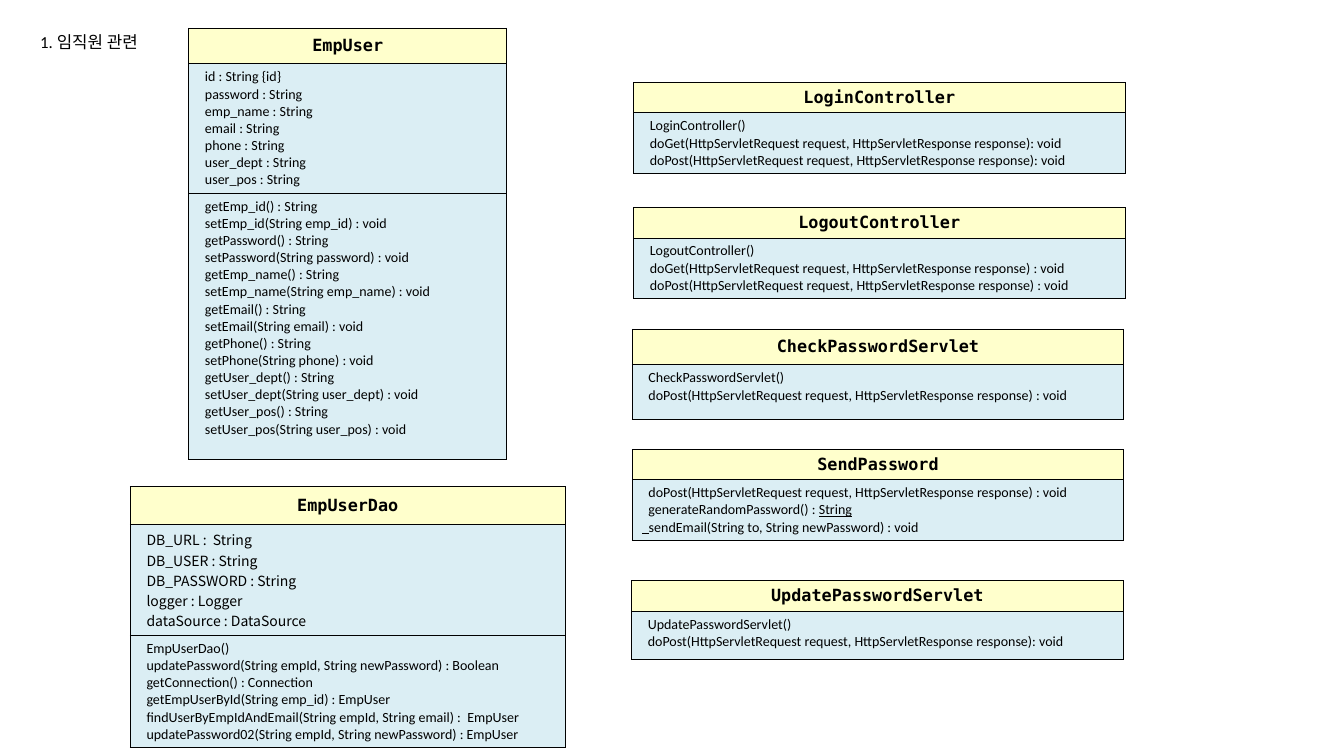
"""Builds the employee class diagram slide."""
from dataclasses import dataclass
from typing import NamedTuple

from lxml import etree
from pptx import Presentation
from pptx import util as u
from pptx.dml import color
from pptx.enum import text
from pptx.oxml import ns

COLORS = {"ink": "000000", "header": "FFFFCC", "body": "DBEEF4"}
BODY_FONT, TITLE_FONT, KOREAN_FONT = "Calibri", "DejaVu Sans Mono", "Noto Sans CJK KR"
LINE_INDENT = u.Inches(0.09)
SERVLET_WIDTH = 7.31


class Piece(NamedTuple):
    words: str
    underline: bool = False


class Line(NamedTuple):
    pieces: tuple[Piece, ...]
    indent: int = LINE_INDENT


class Section(NamedTuple):
    height: float
    lines: list[Line]
    font: str = BODY_FONT


@dataclass
class ClassBox:
    name: str
    left: float
    top: float
    width: float
    header_height: float
    sections: list[Section]


def plain(*members: str) -> list[Line]:
    """Turn member texts into lines of one ordinary piece each."""
    return [Line((Piece(member),)) for member in members]


def handler(method: str, ending: str = " : void") -> str:
    """Return the signature of a servlet request handler."""
    return f"{method}(HttpServletRequest request, HttpServletResponse response){ending}"


def accessors(fields: list[str]) -> list[str]:
    """Return a getter and a setter signature for each field."""
    return [
        signature
        for field in fields
        for signature in (
            f"get{field.capitalize()}() : String",
            f"set{field.capitalize()}(String {field}) : void",
        )
    ]


def add_piece(paragraph, piece: Piece, font: str, size: float, bold: bool = False) -> None:
    """Add one styled run to a paragraph."""
    run = paragraph.add_run()
    run.text = piece.words
    run.font.name = font
    run.font.size = u.Pt(size)
    run.font.bold = bold
    run.font.underline = piece.underline
    run.font.color.rgb = color.RGBColor.from_string(COLORS["ink"])
    properties = run._r.get_or_add_rPr()
    etree.SubElement(properties, ns.qn("a:ea"), typeface=KOREAN_FONT)


def style_cell(cell, fill: str) -> None:
    """Give a cell its margins, black borders and fill."""
    cell.margin_left = cell.margin_right = u.Inches(0.15)
    cell.margin_top = cell.margin_bottom = u.Inches(0.07)
    properties = cell._tc.get_or_add_tcPr()
    for side in ("lnL", "lnR", "lnT", "lnB"):
        border = etree.SubElement(properties, ns.qn(f"a:{side}"), w=str(u.Pt(1)))
        solid = etree.SubElement(border, ns.qn("a:solidFill"))
        etree.SubElement(solid, ns.qn("a:srgbClr"), val=COLORS["ink"])
    cell.fill.solid()
    cell.fill.fore_color.rgb = color.RGBColor.from_string(COLORS[fill])


def fill_section(cell, section: Section) -> None:
    """Write the member lines of one section into its cell."""
    style_cell(cell, "body")
    frame = cell.text_frame
    for index, line in enumerate(section.lines):
        paragraph = frame.add_paragraph() if index else frame.paragraphs[0]
        paragraph._p.get_or_add_pPr().set("marL", str(line.indent))
        for piece in line.pieces:
            add_piece(paragraph, piece, section.font, 15)


def draw_class(slide, box: ClassBox) -> None:
    """Draw a class as a one-column table."""
    heights = [box.header_height, *(section.height for section in box.sections)]
    table = slide.shapes.add_table(
        len(heights), 1, u.Inches(box.left), u.Inches(box.top),
        u.Inches(box.width), u.Inches(sum(heights)),
    ).table
    table.first_row = table.horz_banding = False
    for row, height in zip(table.rows, heights):
        row.height = u.Inches(height)
    header = table.cell(0, 0)
    style_cell(header, "header")
    header.vertical_anchor = text.MSO_ANCHOR.MIDDLE
    title = header.text_frame.paragraphs[0]
    title.alignment = text.PP_ALIGN.CENTER
    add_piece(title, Piece(box.name), TITLE_FONT, 18, bold=True)
    for row_number, section in enumerate(box.sections, start=1):
        fill_section(table.cell(row_number, 0), section)


def draw_heading(slide, words: str) -> None:
    """Draw the slide heading."""
    frame = slide.shapes.add_textbox(
        u.Inches(0.5), u.Inches(0.42), u.Inches(1.98), u.Inches(0.4)).text_frame
    frame.word_wrap = True
    frame.auto_size = text.MSO_AUTO_SIZE.SHAPE_TO_FIT_TEXT
    add_piece(frame.paragraphs[0], Piece(words), BODY_FONT, 18)


PROFILE_FIELDS = ["password", "emp_name", "email", "phone", "user_dept", "user_pos"]

CLASSES = [
    ClassBox("EmpUser", 2.81, 0.42, 4.73, 0.53, [
        Section(1.9, plain("id : String {id}", *(f"{field} : String" for field in PROFILE_FIELDS))),
        Section(3.96, plain(*accessors(["emp_id", *PROFILE_FIELDS]))),
    ]),
    ClassBox("EmpUserDao", 1.94, 7.24, 6.47, 0.57, [
        Section(1.4, plain(
            "DB_URL :  String",
            "DB_USER : String",
            "DB_PASSWORD : String",
            "logger : Logger",
            "dataSource : DataSource",
        ), KOREAN_FONT),
        Section(1.65, plain(
            "EmpUserDao()",
            "updatePassword(String empId, String newPassword) : Boolean",
            "getConnection() : Connection",
            "getEmpUserById(String emp_id) : EmpUser",
            "findUserByEmpIdAndEmail(String empId, String email) :  EmpUser",
            "updatePassword02(String empId, String newPassword) : EmpUser",
        )),
    ]),
    ClassBox("CheckPasswordServlet", 9.41, 4.9, SERVLET_WIDTH, 0.53, [
        Section(0.81, plain("CheckPasswordServlet()", handler("doPost"))),
    ]),
    ClassBox("LoginController", 9.43, 1.23, SERVLET_WIDTH, 0.45, [
        Section(0.9, plain(
            "LoginController()", handler("doGet", ": void"), handler("doPost", ": void"))),
    ]),
    ClassBox("LogoutController", 9.43, 3.09, SERVLET_WIDTH, 0.45, [
        Section(0.9, plain("LogoutController()", handler("doGet"), handler("doPost"))),
    ]),
    ClassBox("SendPassword", 9.41, 6.69, SERVLET_WIDTH, 0.45, [
        Section(0.9, [
            *plain(handler("doPost")),
            Line((Piece("generateRandomPassword() : "), Piece("String", True))),
            Line((Piece("  ", True), Piece("sendEmail(String to, String newPassword) : void")), 0),
        ]),
    ]),
    ClassBox("UpdatePasswordServlet", 9.4, 8.64, SERVLET_WIDTH, 0.46, [
        Section(0.71, plain("UpdatePasswordServlet()", handler("doPost", ": void"))),
    ]),
]


def main() -> None:
    """Build and save the slide."""
    deck = Presentation()
    deck.slide_width, deck.slide_height = u.Inches(20), u.Inches(11.25)
    slide = deck.slides.add_slide(deck.slide_layouts[6])
    for box in CLASSES:
        draw_class(slide, box)
    draw_heading(slide, "1. 임직원 관련")
    deck.save("out.pptx")


if __name__ == "__main__":
    main()
